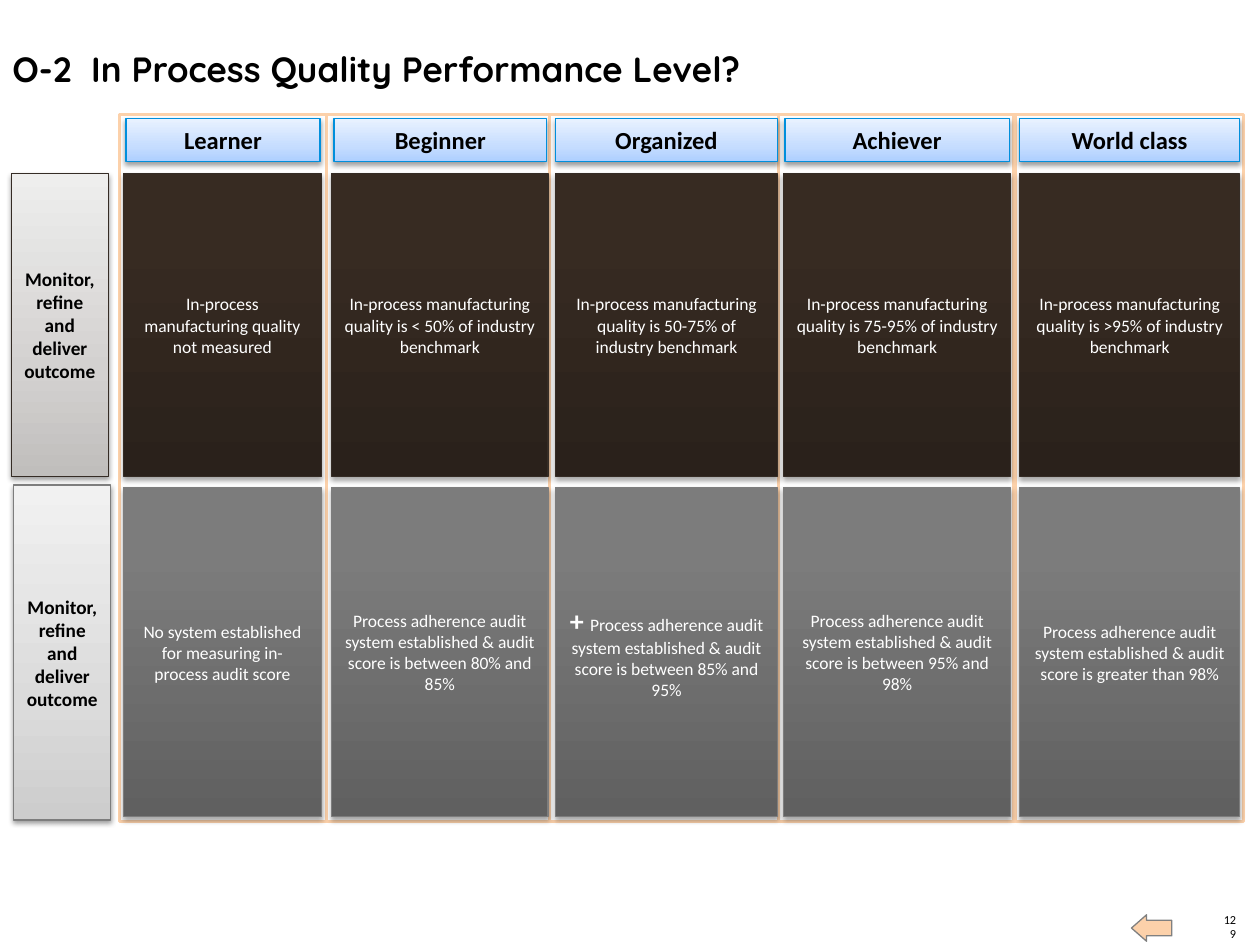
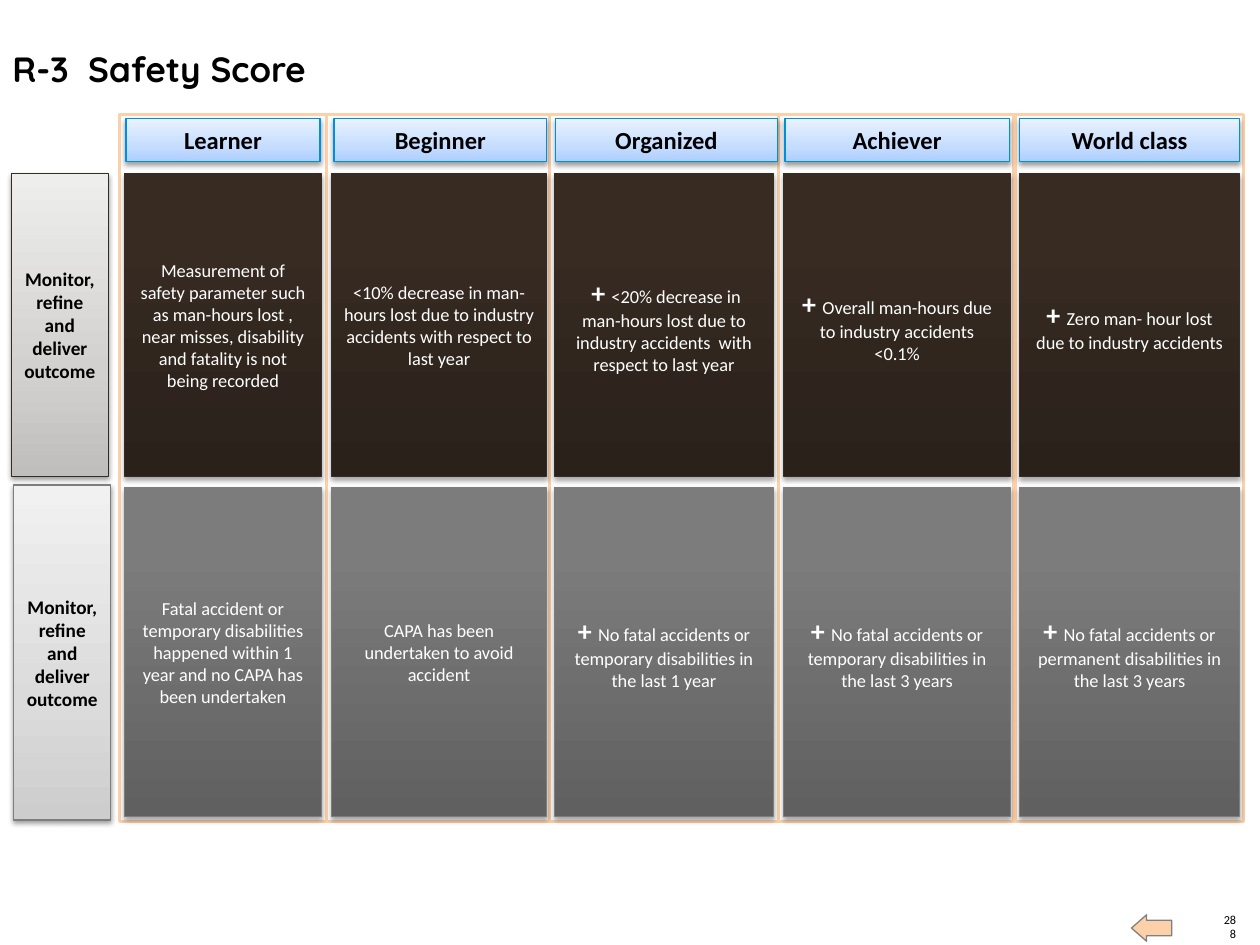
from collections import namedtuple
from copy import deepcopy

from lxml import etree
from pptx import Presentation
from pptx.dml.color import RGBColor
from pptx.enum.shapes import MSO_SHAPE
from pptx.enum.text import MSO_ANCHOR, PP_ALIGN
from pptx.oxml.ns import qn
from pptx.util import Inches, Pt

RECTANGLE, ARROW = MSO_SHAPE.RECTANGLE, MSO_SHAPE.RIGHT_ARROW
TOP, MIDDLE, BOTTOM = MSO_ANCHOR.TOP, MSO_ANCHOR.MIDDLE, MSO_ANCHOR.BOTTOM
LEFT, CENTER, RIGHT = PP_ALIGN.LEFT, PP_ALIGN.CENTER, PP_ALIGN.RIGHT

SLIDE_W, SLIDE_H = 10, 7.5
BODY_FONT, TITLE_FONT = "Calibri", "Quicksand"
BLACK, WHITE, PEACH, GREY = "000000", "FFFFFF", "FCD1AA", "808080"

Box = namedtuple("Box", "left top width height")
# stops run from the bottom edge to the top edge; shadow is opacity %, distance pt
Style = namedtuple("Style", "stops line shadow")
Row = namedtuple("Row", "top height style")

SOFT_SHADOW, CELL_SHADOW = (38, 1.6), (35, 1.8)
HEADING_STYLE = Style(((0, "AECFFF"), (35, "C6DDFF"), (100, "E9F2FF")), "008FDC", SOFT_SHADOW)
BROWN_CELL = Style(((0, "2A211B"), (80, "372B22"), (100, "372B22")), "352C25", CELL_SHADOW)
GREY_CELL = Style(((0, "606060"), (80, "7C7C7C"), (100, "7D7D7D")), "7D7D7D", CELL_SHADOW)
BROWN_LABEL = Style(((0, "C0BEBC"), (35, "D3D1D0"), (100, "EEEEED")), "352C25", SOFT_SHADOW)
GREY_LABEL = Style(((0, "CDCDCD"), (35, "DBDBDB"), (100, "F1F1F1")), "7D7D7D", SOFT_SHADOW)

# Grid of the maturity board: (left, width) of columns and rows, from the board's corner
TITLE_BOX = Box(0, 0.33, 8.6, 0.44)
BOARD = Box(0.09, 0.91, 9.78, 5.61)
FOOTER = Box(8.98, 7.26, 0.83, 0.21)
PANEL_COLUMNS = ((0.86, 1.64), (2.5, 1.79), (4.27, 1.82), (6.09, 1.87), (7.97, 1.81))
HEADING_COLUMNS = ((0.91, 1.54), (2.56, 1.69), (4.32, 1.76), (6.14, 1.78), (8, 1.75))
WIDE_CELLS = ((0.89, 1.57), (2.54, 1.72), (4.32, 1.76), (6.13, 1.8), (8, 1.75))
NARROW_CELLS = ((0.9, 1.56), (2.54, 1.71), (4.31, 1.74), (6.13, 1.8), (8, 1.75))
LABEL_COLUMNS = ((0, 0.77), (0.02, 0.77))
HEADING_ROW = Row(0.03, 0.34, HEADING_STYLE)
CELL_ROWS = (Row(0.47, 2.4, BROWN_CELL), Row(2.96, 2.61, GREY_CELL))
LABEL_ROWS = (Row(0.47, 2.4, BROWN_LABEL), Row(2.94, 2.66, GREY_LABEL))

LEVELS = ("Learner", "Beginner", "Organized", "Achiever", "World class")
ROW_LABEL = "Monitor, refine and deliver outcome"
PLUS = "+ "

SCORECARDS = (
    dict(
        title="O-2  In Process Quality Performance Level?",
        page="129", columns=WIDE_CELLS, size=10,
        criteria=(
            ("In-process manufacturing quality not measured",
             "In-process manufacturing quality is < 50% of industry benchmark",
             "In-process manufacturing quality is 50-75% of industry benchmark",
             "In-process manufacturing quality is 75-95% of industry benchmark",
             "In-process manufacturing quality is >95% of industry benchmark"),
            ("No system established for measuring in-process audit score",
             "Process adherence audit system established & audit score is between 80% and 85%",
             "+ Process adherence audit system established & audit score is between 85% and 95%",
             "Process adherence audit system established & audit score is between 95% and 98%",
             "Process adherence audit system established & audit score is greater than 98%"),
        ),
    ),
    dict(
        title="R-3  Safety Score",
        page="288", columns=NARROW_CELLS, size=10.5,
        criteria=(
            ("Measurement of safety parameter such as man-hours lost , near misses, "
             "disability and fatality is not being recorded",
             "<10% decrease in man-hours lost due to industry accidents with respect to last year",
             " + <20% decrease in man-hours lost due to industry accidents  with respect to last year",
             "+ Overall man-hours due to industry accidents <0.1%",
             "+ Zero man- hour lost due to industry accidents"),
            ("Fatal accident or temporary disabilities happened within 1 year "
             "and no CAPA has been undertaken",
             "CAPA has been undertaken to avoid accident",
             "+ No fatal accidents or temporary disabilities in the last 1 year",
             "+ No fatal accidents or temporary disabilities in the last 3 years",
             "+ No fatal accidents or permanent disabilities in the last 3 years"),
        ),
    ),
)


def rgb(value):
    return RGBColor.from_string(value)


def within(box, left, top, width, height):
    """Box placed relative to the top left corner of another box."""
    return Box(box.left + left, box.top + top, width, height)


def inches(box):
    return [Inches(length) for length in box]


def write(shape, text, size=10, font=BODY_FONT, color=BLACK, bold=False,
          align=CENTER, anchor=MIDDLE):
    """Fill a shape with one paragraph; a plus sign before the text is set large and bold."""
    frame = shape.text_frame
    frame.word_wrap = True
    frame.vertical_anchor = anchor
    paragraph = frame.paragraphs[0]
    paragraph.alignment = align
    lead, plus, body = text.partition(PLUS)
    for part in filter(None, (lead, plus, body)):
        run = paragraph.add_run()
        run.text = part
        run.font.name = font
        run.font.size = Pt(16 if part == PLUS else size)
        run.font.bold = bold or part == PLUS
        run.font.color.rgb = rgb(color)


def add_block(slide, box, fill, line, weight=0.75, kind=RECTANGLE):
    block = slide.shapes.add_shape(kind, *inches(box))
    block.shadow.inherit = False
    block.fill.solid()
    block.fill.fore_color.rgb = rgb(fill)
    block.line.color.rgb = rgb(line)
    block.line.width = Pt(weight)
    return block


def apply_gradient(shape, stops):
    shape.fill.gradient()
    shape.fill.gradient_angle = 90
    stop_list = shape._element.spPr.find(".//" + qn("a:gsLst"))
    while len(stop_list) < len(stops):
        stop_list.append(deepcopy(stop_list[0]))
    for stop, (percent, color) in zip(shape.fill.gradient_stops, stops):
        stop.position = percent / 100
        stop.color.rgb = rgb(color)


def apply_shadow(shape, opacity, distance):
    effects = shape._element.spPr.find(qn("a:effectLst"))
    shadow = etree.SubElement(effects, qn("a:outerShdw"), blurRad=str(Pt(3.1)),
                              dist=str(Pt(distance)), dir="5400000", rotWithShape="0")
    color = etree.SubElement(shadow, qn("a:srgbClr"), val=BLACK)
    etree.SubElement(color, qn("a:alpha"), val=str(opacity * 1000))


def add_tile(slide, board, column, row, text, **text_format):
    """Shaded tile where a column of the board crosses a row."""
    left, width = column
    tile = add_block(slide, within(board, left, row.top, width, row.height),
                     WHITE, row.style.line)
    apply_gradient(tile, row.style.stops)
    apply_shadow(tile, *row.style.shadow)
    write(tile, text, **text_format)


def add_title(slide, box, title):
    write(slide.shapes.add_textbox(*inches(box)), title, size=20, font=TITLE_FONT,
          bold=True, align=LEFT, anchor=TOP)


def add_board(slide, board, columns, criteria, size):
    for left, width in PANEL_COLUMNS:
        add_block(slide, within(board, left, 0, width, board.height), WHITE, PEACH, weight=2)
    for column, level in zip(HEADING_COLUMNS, LEVELS):
        add_tile(slide, board, column, HEADING_ROW, level, size=14, bold=True)
    for column, row in zip(LABEL_COLUMNS, LABEL_ROWS):
        add_tile(slide, board, column, row, ROW_LABEL, size=11, bold=True)
    for row, texts in zip(CELL_ROWS, criteria):
        for column, text in zip(columns, texts):
            add_tile(slide, board, column, row, text, size=size, color=WHITE)


def add_footer(slide, box, page):
    back_arrow = add_block(slide, within(box, 0, 0, 0.32, box.height), PEACH, GREY, kind=ARROW)
    back_arrow.rotation = 180
    back_arrow.adjustments[0] = 0.59
    back_arrow.adjustments[1] = 0.57
    side = 0.12
    number = slide.shapes.add_textbox(
        *inches(within(box, box.width - side, box.height - side, side, side)))
    frame = number.text_frame
    frame.margin_left = frame.margin_right = frame.margin_top = frame.margin_bottom = 0
    write(number, page, size=7, align=RIGHT, anchor=BOTTOM)


def add_scorecard(deck, title, page, columns, size, criteria):
    slide = deck.slides.add_slide(deck.slide_layouts[6])
    add_footer(slide, FOOTER, page)
    add_title(slide, TITLE_BOX, title)
    add_board(slide, BOARD, columns, criteria, size)


def main():
    deck = Presentation()
    deck.slide_width, deck.slide_height = Inches(SLIDE_W), Inches(SLIDE_H)
    for scorecard in SCORECARDS:
        add_scorecard(deck, **scorecard)
    deck.save("out.pptx")


if __name__ == "__main__":
    main()
